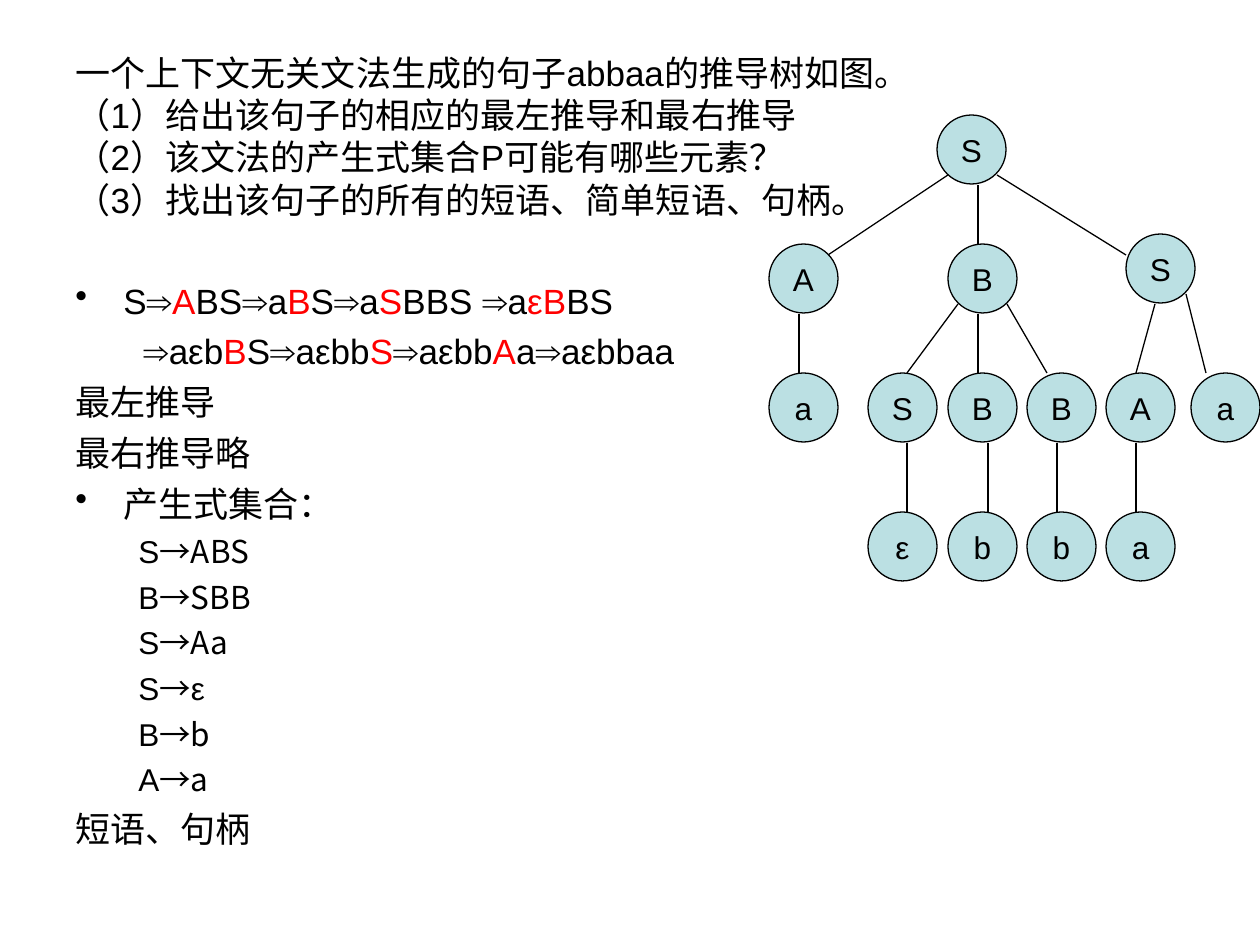
import pptx
import pptx.dml.color
import pptx.enum.shapes
import pptx.enum.text
import pptx.oxml.ns
import pptx.util
from lxml import etree

PX = 914400 / 126
BLACK, RED, NODE_FILL = "000000", "FF0000", "BBE0E3"
LATIN, CHINESE = "Arial", "Noto Sans CJK SC"

TITLE = [
    "一个上下文无关文法生成的句子abbaa的推导树如图。",
    "（1）给出该句子的相应的最左推导和最右推导",
    "（2）该文法的产生式集合P可能有哪些元素？",
    "（3）找出该句子的所有的短语、简单短语、句柄。",
]

# Every second part between bars is accented
BODY = [
    ("bullet", "S⇒|A|BS⇒a|B|S⇒a|S|BBS ⇒a|εB|BS"),
    ("continued", "⇒aεb|B|S⇒aεbb|S|⇒aεbb|A|a⇒aεbbaa"),
    ("plain", "最左推导"),
    ("plain", "最右推导略"),
    ("bullet", "产生式集合："),
    ("production", "S|→ABS"),
    ("production", "B|→SBB"),
    ("production", "S|→Aa"),
    ("production", "S|→|ε"),
    ("production", "B|→b"),
    ("production", "A|→a"),
    ("plain", "短语、句柄"),
]
# Kind: left margin px, first-line indent px, size, space before
KINDS = {
    "bullet": (48, -48, 20, 5),
    "continued": (68, 0, 20, 5),
    "plain": (48, -48, 20, 5),
    "production": (102, -39, 18, 4.5),
}

# Tree nodes: top, then (label, left) along the row
NODE_SIZE = 69
NODE_ROWS = [
    (115, [("S", 937)]),
    (244, [("A", 769), ("B", 948)]),
    (234, [("S", 1126)]),
    (373, [("a", 769), ("S", 868), ("B", 948), ("B", 1027), ("A", 1106), ("a", 1191)]),
    (512, [("ε", 868), ("b", 948), ("b", 1027), ("a", 1106)]),
]
# Tree branches: x1, y1, x2, y2
BRANCHES = [
    (978, 185, 978, 244), (948, 175, 828, 255), (997, 175, 1126, 255),
    (799, 314, 799, 373), (978, 314, 978, 373),
    (958, 304, 907, 373), (1007, 304, 1047, 373),
    (1155, 304, 1136, 373), (1186, 294, 1206, 373),
] + [(x, 443, x, 512) for x in (907, 988, 1057, 1136)]


def px(*lengths):
    return [pptx.util.Emu(round(length * PX)) for length in lengths]


def color(hex_string):
    return pptx.dml.color.RGBColor.from_string(hex_string)


def set_font(font, size, name=LATIN):
    font.size = pptx.util.Pt(size)
    font.name = name
    font.color.rgb = color(BLACK)


def add_title(page):
    title = page.shapes.title
    title.left, title.top, title.width, title.height = px(63, 38, 1134, 196)
    frame = title.text_frame
    frame.auto_size = pptx.enum.text.MSO_AUTO_SIZE.NONE
    frame.vertical_anchor = pptx.enum.text.MSO_ANCHOR.MIDDLE
    para = frame.paragraphs[0]
    para.text = "\v".join(TITLE)
    para.alignment = pptx.enum.text.PP_ALIGN.LEFT
    set_font(para.font, 20)


def add_body(page):
    frame = page.shapes.add_textbox(*px(63, 273, 1134, 615)).text_frame
    frame.word_wrap = True
    for index, (kind, text) in enumerate(BODY):
        margin, indent, size, space = KINDS[kind]
        para = frame.add_paragraph() if index else frame.paragraphs[0]
        if index:
            para.space_before = pptx.util.Pt(space)
        properties = para._p.get_or_add_pPr()
        for key, length in zip(("marL", "indent"), px(margin, indent)):
            properties.set(key, str(int(length)))
        if kind == "bullet":
            bullet = etree.SubElement(properties, pptx.oxml.ns.qn("a:buChar"))
            bullet.set("char", "•")
        set_font(para.font, size)
        for position, part in enumerate(text.split("|")):
            span = para.add_run()
            span.text = part
            if position % 2 and kind == "production":
                span.font.name = CHINESE
            elif position % 2:
                span.font.color.rgb = color(RED)


def add_node(page, label, left, top):
    node = page.shapes.add_shape(pptx.enum.shapes.MSO_SHAPE.OVAL,
                                 *px(left, top, NODE_SIZE, NODE_SIZE))
    node.shadow.inherit = False
    node.fill.solid()
    node.fill.fore_color.rgb = color(NODE_FILL)
    node.line.color.rgb = color(BLACK)
    node.line.width = pptx.util.Pt(0.75)
    frame = node.text_frame
    frame.word_wrap = False
    frame.vertical_anchor = pptx.enum.text.MSO_ANCHOR.MIDDLE
    para = frame.paragraphs[0]
    para.text = label
    para.alignment = pptx.enum.text.PP_ALIGN.CENTER
    set_font(para.font, 18)


def add_branch(page, ends):
    branch = page.shapes.add_connector(pptx.enum.shapes.MSO_CONNECTOR.STRAIGHT, *px(*ends))
    branch.line.color.rgb = color(BLACK)
    branch.line.width = pptx.util.Pt(0.75)
    etree.SubElement(branch._element.spPr, pptx.oxml.ns.qn("a:effectLst"))


def main():
    deck = pptx.Presentation()
    deck.slide_width, deck.slide_height = px(1260, 945)
    page = deck.slides.add_slide(deck.slide_layouts[5])
    add_title(page)
    add_body(page)
    # Derivation tree
    for top, row in NODE_ROWS:
        for label, left in row:
            add_node(page, label, left, top)
    for ends in BRANCHES:
        add_branch(page, ends)
    deck.save("out.pptx")


if __name__ == "__main__":
    main()
